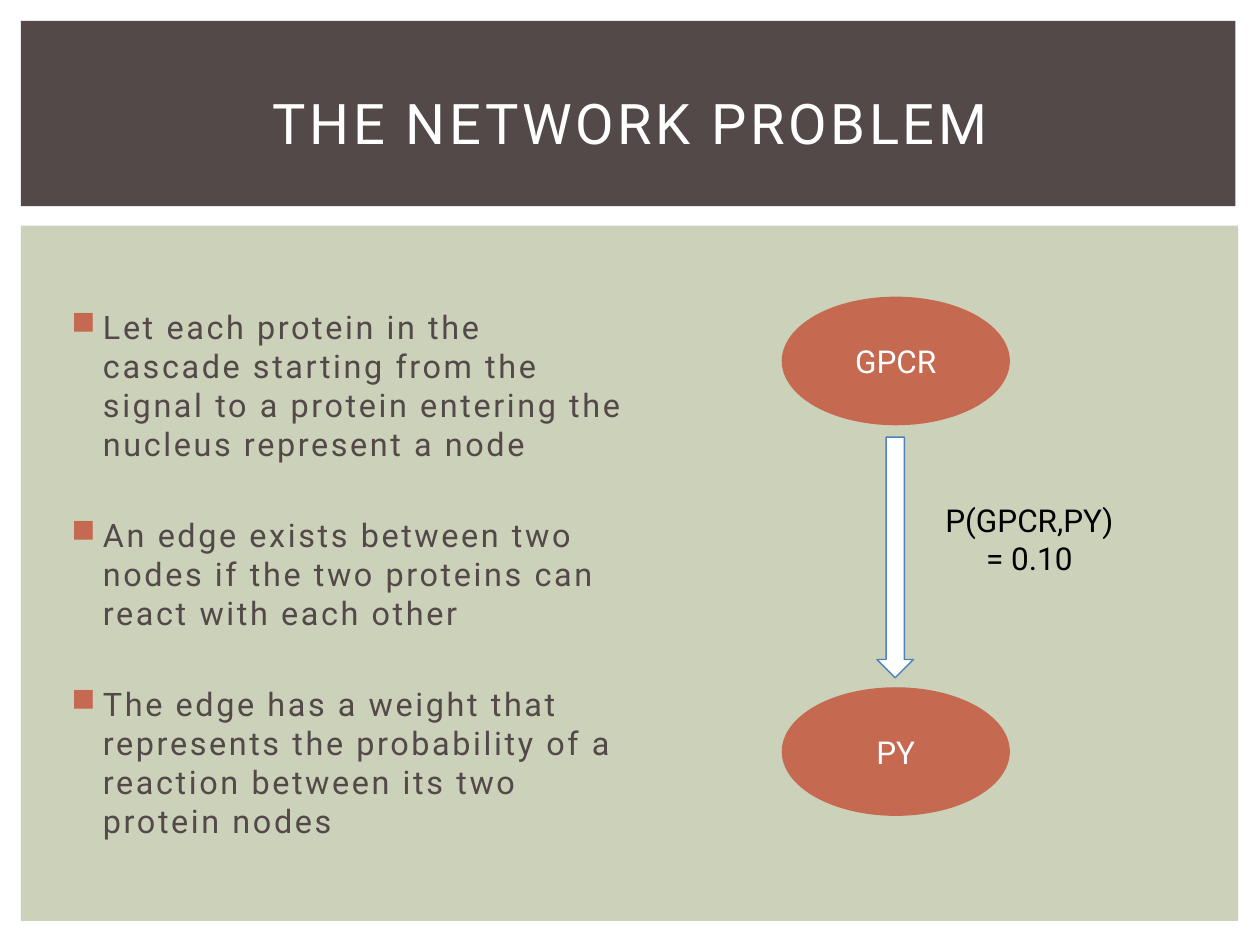
import pptx
import pptx.dml.color
import pptx.enum.shapes
import pptx.enum.text
import pptx.oxml
import pptx.util
from pptx.oxml.ns import nsdecls

Pt = pptx.util.Pt
SHAPE = pptx.enum.shapes.MSO_SHAPE
ALIGN = pptx.enum.text.PP_ALIGN
ANCHOR = pptx.enum.text.MSO_ANCHOR

BROWN, SAGE, RUST = "534949", "CCD1B9", "C66951"
WHITE, BLACK, BLUE = "FFFFFF", "000000", "4F81BD"

POINTS = [
    "Let each protein in the cascade starting from the signal to a protein "
    "entering the nucleus represent a node",
    "An edge exists between two nodes if the two proteins can react with each other",
    "The edge has a weight that represents the probability of a reaction "
    "between its two protein nodes",
]


def color(value):
    return pptx.dml.color.RGBColor.from_string(value)


def write_text(para, text, size=18, ink=BLACK, align=ALIGN.CENTER, spacing=0):
    para.alignment = align
    span = para.add_run()
    span.text = text
    span.font.name = "Roboto"
    span.font.size = Pt(size)
    span.font.color.rgb = color(ink)
    if spacing:
        span.font._element.set("spc", str(int(spacing * 100)))


def add_bullet(para, tint, margin, hanging):
    properties = para._p.get_or_add_pPr()
    properties.set("marL", str(Pt(margin)))
    properties.set("indent", str(-Pt(hanging)))
    for xml in (
        f'<a:buClr {nsdecls("a")}><a:srgbClr val="{tint}"/></a:buClr>',
        f'<a:buChar {nsdecls("a")} char="■"/>',
    ):
        properties.append(pptx.oxml.parse_xml(xml))


def add_figure(page, kind, left, top, width, height, fill, line=None):
    figure = page.shapes.add_shape(kind, Pt(left), Pt(top), Pt(width), Pt(height))
    figure.shadow.inherit = False
    figure.fill.solid()
    figure.fill.fore_color.rgb = color(fill)
    if line:
        figure.line.color.rgb = color(line)
        figure.line.width = Pt(0.79)
    else:
        figure.line.fill.background()
    return figure


def add_text_frame(page, left, top, width, height, anchor=ANCHOR.TOP):
    box = page.shapes.add_textbox(Pt(left), Pt(top), Pt(width), Pt(height))
    frame = box.text_frame
    frame.word_wrap = True
    frame.vertical_anchor = anchor
    return frame


def add_points(page):
    frame = add_text_frame(page, 30.2, 172.1, 336.2, 293)
    for index, point in enumerate(POINTS):
        para = frame.add_paragraph() if index else frame.paragraphs[0]
        write_text(para, point, size=18.5, ink=BROWN, align=ALIGN.LEFT, spacing=1.5)
        para.space_before = Pt(30 if index else 0)
        add_bullet(para, RUST, margin=21.6, hanging=18)


def add_node(page, name, top):
    node = add_figure(page, SHAPE.OVAL, 447.1, top, 129.6, 72.7, RUST, RUST)
    node.text_frame.vertical_anchor = ANCHOR.MIDDLE
    write_text(node.text_frame.paragraphs[0], name, ink=WHITE)


def main():
    deck = pptx.Presentation()
    deck.slide_width, deck.slide_height = Pt(720), Pt(540)
    page = deck.slides.add_slide(deck.slide_layouts[6])

    add_figure(page, SHAPE.RECTANGLE, 12, 128.9, 695.5, 397.4, SAGE)
    add_figure(page, SHAPE.RECTANGLE, 12, 12, 694, 105.8, BROWN)
    add_points(page)

    title = add_text_frame(page, 30.2, 28.1, 660.2, 82.8, ANCHOR.MIDDLE)
    write_text(title.paragraphs[0], "THE NETWORK PROBLEM", size=32, ink=WHITE, spacing=2)

    add_node(page, "GPCR", 169.9)
    add_node(page, "PY", 393.1)
    add_figure(page, SHAPE.DOWN_ARROW, 501.1, 249.8, 20.9, 137.5, WHITE, BLUE)

    weight = add_text_frame(page, 532.8, 283, 110.9, 51.1)
    write_text(weight.paragraphs[0], "P(GPCR,PY) = 0.10")

    deck.save("out.pptx")


if __name__ == "__main__":
    main()
